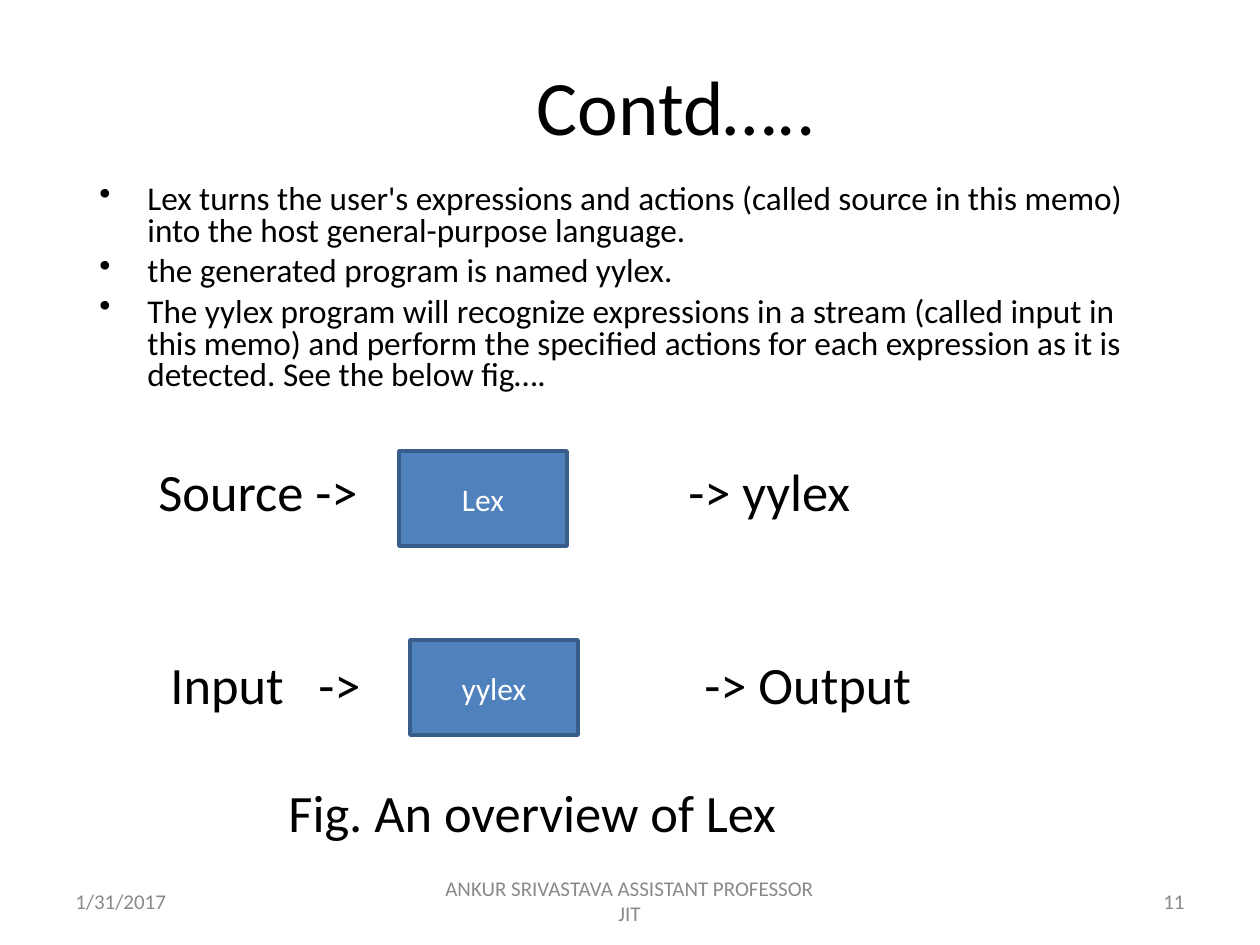
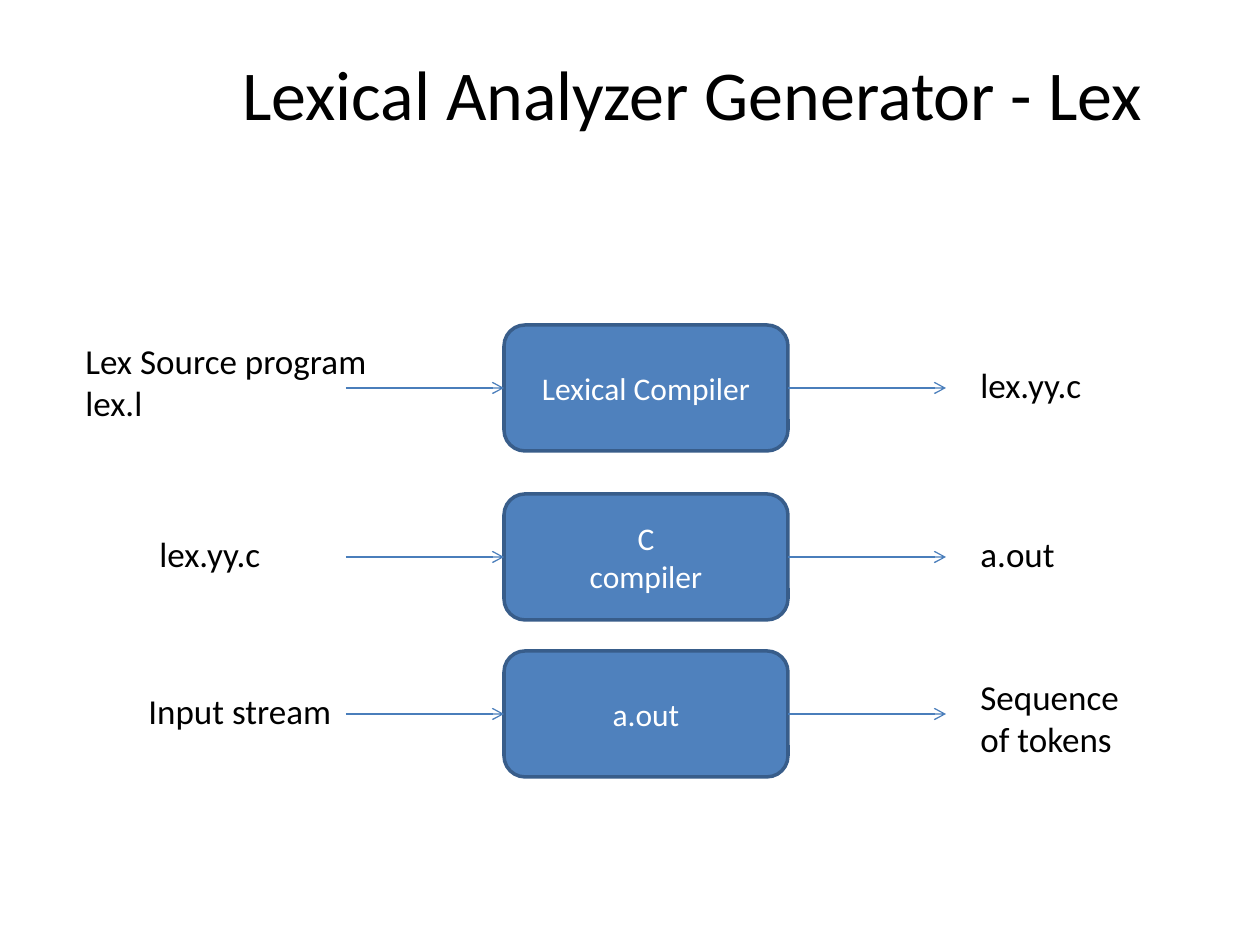
import dataclasses

import lxml.etree
import pptx
import pptx.dml.color
import pptx.enum.shapes
import pptx.enum.text
import pptx.oxml.ns
import pptx.util

SHAPE = pptx.enum.shapes.MSO_SHAPE
ALIGN = pptx.enum.text.PP_ALIGN
ANCHOR = pptx.enum.text.MSO_ANCHOR
PX_PER_INCH = 126


@dataclasses.dataclass(frozen=True)
class Theme:
    """Colours, font and type sizes shared by the slides."""
    font: str = "Calibri"
    ink: str = "000000"
    muted: str = "898989"
    on_fill: str = "FFFFFF"
    fill: str = "4F81BD"
    edge: str = "385D8A"
    arrow: str = "4A7EBB"
    edge_width: float = 2
    arrow_width: float = 0.75
    figure: int = 30
    label: int = 20
    bullet: int = 19
    box: int = 18
    footer: int = 12


THEME = Theme()
BULLETS = (
    "Lex turns the user's expressions and actions (called source in this memo) "
    "into the host general-purpose language.",
    "the generated program is named yylex.",
    "The yylex program will recognize expressions in a stream (called input in this memo) "
    "and perform the specified actions for each expression as it is detected. "
    "See the below fig….",
)
FIGURE_LINES = (
    ("\tSource ->\t-> yylex", 78, (59, 589)),
    ("\tInput\t->\t-> Output", 142, (71, 219, 605)),
    ("\tFig. An overview of Lex", 78, (189,)),
)
STAGES = (
    (325, ("Lex Source program", "lex.l"), (73, -55, 312, 97),
     ("Lexical Compiler",), ("lex.yy.c",), (968, -31, 176, 55)),
    (494, ("lex.yy.c",), (147, -31, 218, 55),
     ("C", "compiler"), ("a.out",), (968, -31, 176, 55)),
    (651, ("Input stream",), (136, -31, 218, 55),
     ("a.out",), ("Sequence of tokens",), (968, -45, 176, 97)),
)


def px(n):
    """Turn whole px into EMU."""
    return pptx.util.Emu(round(n * 914400 / PX_PER_INCH))


def rgb(color):
    """Turn a hex string into a colour."""
    return pptx.dml.color.RGBColor.from_string(color)


def add_xml(parent, tag, **attrs):
    """Append a DrawingML child element."""
    return lxml.etree.SubElement(parent, pptx.oxml.ns.qn(tag), attrs)


def add_run(p, text, size, color):
    """Add a styled run to a paragraph."""
    r = p.add_run()
    r.text = text
    r.font.name = THEME.font
    r.font.size = pptx.util.Pt(size)
    r.font.color.rgb = rgb(color)


def write_lines(tf, lines, size, color, align):
    """Write each line as its own paragraph."""
    for i, line in enumerate(lines):
        p = tf.add_paragraph() if i else tf.paragraphs[0]
        p.alignment = align
        add_run(p, line, size, color)


def add_text(slide, box, lines, size, color=THEME.ink, align=ALIGN.LEFT, anchor=ANCHOR.TOP):
    """Add a wrapping text box and return its text frame."""
    tf = slide.shapes.add_textbox(*map(px, box)).text_frame
    tf.word_wrap = True
    tf.vertical_anchor = anchor
    write_lines(tf, lines, size, color, align)
    return tf


def add_title(slide, box, text, size):
    """Add a centred slide title."""
    add_text(slide, box, [text], size, align=ALIGN.CENTER, anchor=ANCHOR.MIDDLE)


def add_box(slide, kind, box, lines):
    """Add a filled, outlined process box with centred text."""
    sp = slide.shapes.add_shape(kind, *map(px, box))
    sp.shadow.inherit = False
    sp.fill.solid()
    sp.fill.fore_color.rgb = rgb(THEME.fill)
    sp.line.color.rgb = rgb(THEME.edge)
    sp.line.width = pptx.util.Pt(THEME.edge_width)
    sp.text_frame.vertical_anchor = ANCHOR.MIDDLE
    write_lines(sp.text_frame, lines, THEME.box, THEME.on_fill, ALIGN.CENTER)
    return sp


def add_arrow(slide, x1, x2, y):
    """Add a horizontal arrow pointing right."""
    kind = pptx.enum.shapes.MSO_CONNECTOR.STRAIGHT
    cx = slide.shapes.add_connector(kind, px(x1), px(y), px(x2), px(y))
    cx.line.color.rgb = rgb(THEME.arrow)
    cx.line.width = pptx.util.Pt(THEME.arrow_width)
    add_xml(cx.line._get_or_add_ln(), "a:tailEnd", type="arrow")
    add_xml(cx._element.spPr, "a:effectLst")
    return cx


def add_footer(slide, box, date, author, number):
    """Place date, author and slide number along the footer band."""
    left, top, width, height = box
    side, middle = 294, 399
    parts = (
        (left, side, date, ALIGN.LEFT),
        (left + (width - middle) // 2, middle, author, ALIGN.CENTER),
        (left + width - side, side, number, ALIGN.RIGHT),
    )
    for x, w, text, align in parts:
        add_text(slide, (x, top, w, height), [text], THEME.footer, THEME.muted,
                 align, ANCHOR.MIDDLE)


def add_body(slide, box):
    """Add the bullets and the tabbed lines of the figure below them."""
    tf = add_text(slide, box, BULLETS, THEME.bullet)
    for p in tf.paragraphs:
        p.line_spacing = 0.8
        p.space_before = pptx.util.Pt(4.8)
        pPr = p._p.get_or_add_pPr()
        pPr.set("marL", str(px(48)))
        pPr.set("indent", str(px(-48)))
        add_xml(pPr, "a:buChar", char="•")
    for text, gap, stops in FIGURE_LINES:
        p = tf.add_paragraph()
        p.line_spacing = 0.8
        p.space_before = px(gap)
        tabs = add_xml(p._p.get_or_add_pPr(), "a:tabLst")
        for stop in stops:
            add_xml(tabs, "a:tab", pos=str(px(stop)), algn="l")
        add_run(p, text, THEME.figure, THEME.ink)


def add_stage(slide, box, source, source_box, lines, result, result_box):
    """Add one process box with its input and output, placed about the box's middle."""
    left, top, width, height = box
    middle, reach = top + height // 2, 158
    sp = add_box(slide, SHAPE.ROUNDED_RECTANGLE, box, lines)
    add_arrow(slide, left - reach, left, middle).end_connect(sp, 1)
    add_arrow(slide, left + width, left + width + reach, middle).begin_connect(sp, 3)
    for text, (x, dy, w, h) in ((source, source_box), (result, result_box)):
        tf = add_text(slide, (x, middle + dy, w, h), text, THEME.label)
        tf.auto_size = pptx.enum.text.MSO_AUTO_SIZE.SHAPE_TO_FIT_TEXT


def build_overview(slide):
    """Build the overview of Lex."""
    add_title(slide, (179, 42, 995, 126), "Contd…..", 44)
    add_body(slide, (87, 179, 1087, 673))
    add_footer(slide, (63, 876, 1134, 50), "1/31/2017",
               "ANKUR SRIVASTAVA ASSISTANT PROFESSOR JIT", "11")
    for x, y, text in ((399, 451, "Lex"), (410, 640, "yylex")):
        add_box(slide, SHAPE.RECTANGLE, (x, y, 168, 95), [text])


def build_generator(slide):
    """Build the three stages of the analyzer generator."""
    add_title(slide, (210, 50, 964, 86), "Lexical Analyzer Generator - Lex", 40)
    for top, source, source_box, lines, result, result_box in STAGES:
        add_stage(slide, (504, top, 284, 126), source, source_box, lines, result, result_box)


def main():
    """Build and save the slides."""
    prs = pptx.Presentation()
    prs.slide_width, prs.slide_height = px(1260), px(945)
    for build in (build_overview, build_generator):
        build(prs.slides.add_slide(prs.slide_layouts[6]))
    prs.save("out.pptx")


if __name__ == "__main__":
    main()
